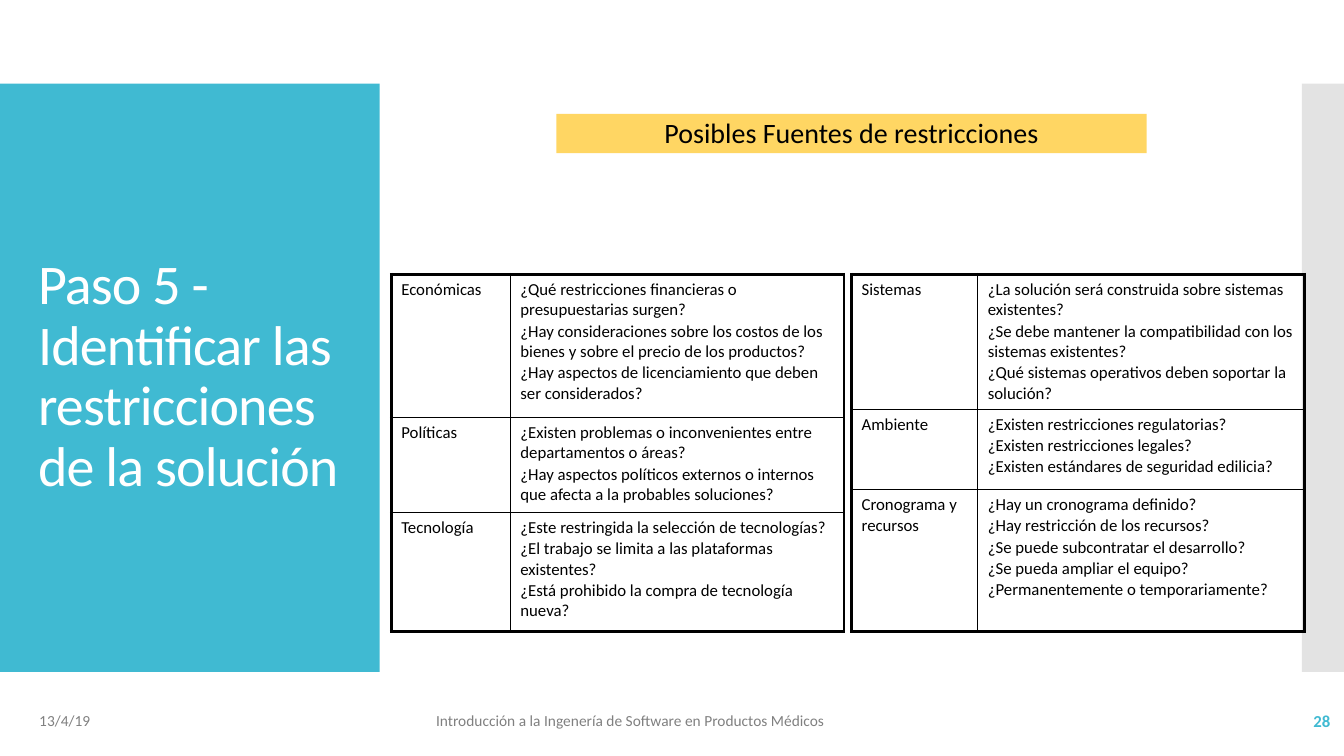
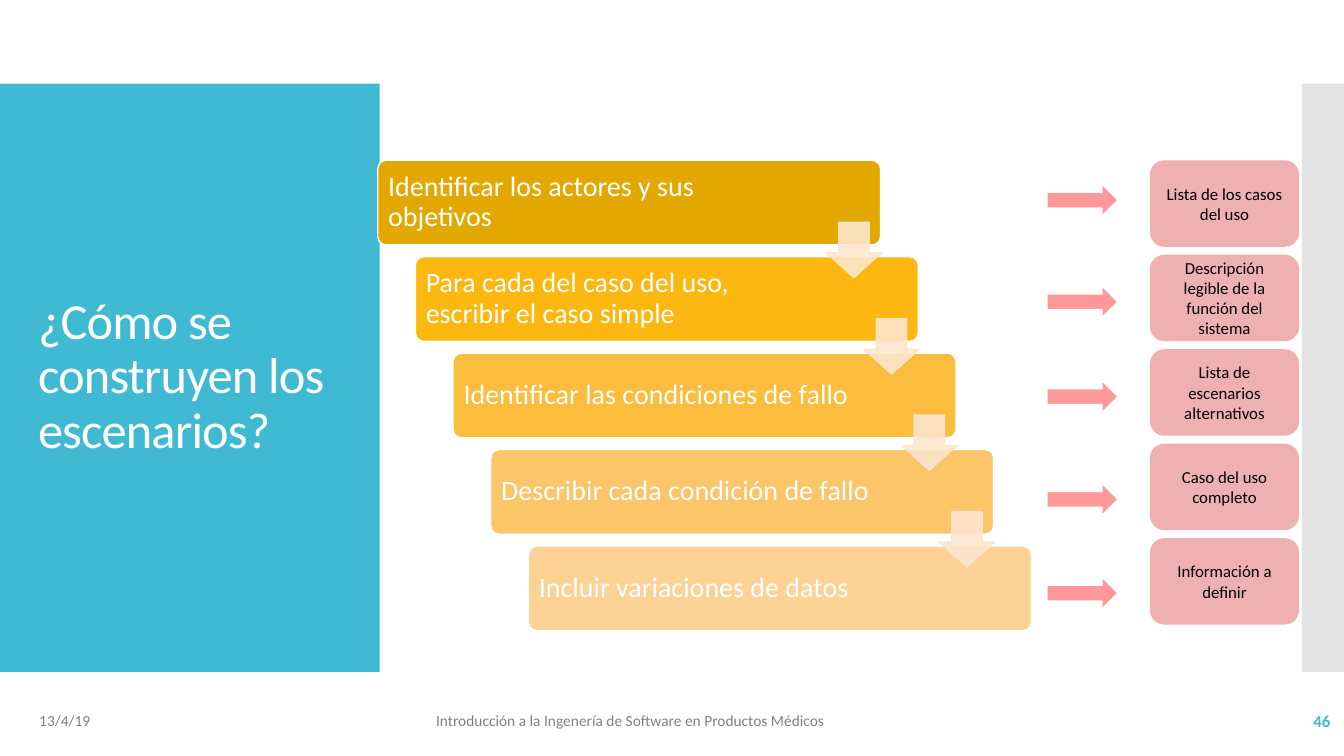
from lxml.etree import SubElement
from pptx import Presentation
from pptx.dml.color import RGBColor
from pptx.enum.shapes import MSO_SHAPE
from pptx.enum.text import MSO_ANCHOR, PP_ALIGN
from pptx.oxml.ns import qn
from pptx.util import Cm, Pt

FONT = "Calibri"
COLORS = {
    "teal": "40BAD2", "side": "C8C8C8", "white": "FFFFFF", "black": "000000",
    "footer": "808080", "heading": "FFD663", "result": "EEB0B1",
    "arrow": "FF9999", "down": "FDE6CC",
}
DATE = "13/4/19"
COURSE = "Introducción a la Ingenería de Software en Productos Médicos"

RESTRICTIONS = {
    "title": "Paso 5 - Identificar las restricciones de la solución",
    "size": 40,
    "number": "28",
    "heading": "Posibles Fuentes de restricciones",
}
TABLES = [
    {
        "left": 9.86, "cols": [3, 8.41], "rows": [3.61, 2.39, 3],
        "cells": [
            ("Económicas", [
                "¿Qué restricciones financieras o presupuestarias surgen?",
                "¿Hay consideraciones sobre los costos de los bienes y sobre el precio de los productos?",
                "¿Hay aspectos de licenciamiento que deben ser considerados?"]),
            ("Políticas", [
                "¿Existen problemas o inconvenientes entre departamentos o áreas?",
                "¿Hay aspectos políticos externos o internos que afecta a la probables soluciones?"]),
            ("Tecnología", [
                "¿Este restringida la selección de tecnologías?",
                "¿El trabajo se limita a las plataformas existentes?",
                "¿Está prohibido la compra de tecnología nueva?"]),
        ],
    },
    {
        "left": 21.46, "cols": [3.18, 8.23], "rows": [3.4, 2.03, 3.58],
        "cells": [
            ("Sistemas", [
                "¿La solución será construida sobre sistemas existentes?",
                "¿Se debe mantener la compatibilidad con los sistemas existentes?",
                "¿Qué sistemas operativos deben soportar la solución?"]),
            ("Ambiente", [
                "¿Existen restricciones regulatorias?",
                "¿Existen restricciones legales?",
                "¿Existen estándares de seguridad edilicia?"]),
            ("Cronograma y recursos", [
                "¿Hay un cronograma definido?",
                "¿Hay restricción de los recursos?",
                "¿Se puede subcontratar el desarrollo?",
                "¿Se pueda ampliar el equipo? ¿Permanentemente o temporariamente?"]),
        ],
    },
]

SCENARIOS = {
    "title": "¿Cómo se construyen los escenarios?",
    "size": 36,
    "number": "46",
}
STEPS = [
    ("Identificar los actores y sus objetivos", "E3A800", "Lista de los casos del uso", 4.65),
    ("Para cada del caso del uso, escribir el caso simple", "FDB711",
     "Descripción legible de la función del sistema", 7.21),
    ("Identificar las condiciones de fallo", "FCBC3E", "Lista de escenarios alternativos", 9.6),
    ("Describir cada condición de fallo", "FBC56A", "Caso del uso completo", 12.19),
    ("Incluir variaciones de datos", "FCD295", "Información a definir", 14.55),
]


def rgb(color):
    return RGBColor.from_string(COLORS.get(color, color))


def set_alpha(fill, percent):
    SubElement(fill.find(".//" + qn("a:srgbClr")), qn("a:alpha"), val=str(percent * 1000))


def write(tf, texts, size, color="black", align=PP_ALIGN.LEFT, bold=False, spacing=None, gap=0):
    tf.word_wrap = True
    for i, text in enumerate(texts):
        p = tf.paragraphs[0] if i == 0 else tf.add_paragraph()
        p.text = text
        p.alignment = align
        if spacing:
            p.line_spacing = spacing
        if i and gap:
            p.space_before = Pt(gap)
        p.font.name = FONT
        p.font.size = Pt(size)
        p.font.bold = bold
        p.font.color.rgb = rgb(color)


def add_text(s, box, text, size, color, **style):
    tf = s.shapes.add_textbox(*map(Cm, box)).text_frame
    tf.vertical_anchor = MSO_ANCHOR.MIDDLE
    write(tf, [text], size, color, **style)
    return tf


def add_shape(s, kind, box, fill, line=None, adj=(), alpha=None):
    sp = s.shapes.add_shape(kind, *map(Cm, box))
    sp.shadow.inherit = False
    for i, value in enumerate(adj):
        sp.adjustments[i] = value
    sp.fill.solid()
    sp.fill.fore_color.rgb = rgb(fill)
    if line:
        sp.line.color.rgb = rgb(line)
        sp.line.width = Pt(0.85)
    else:
        sp.line.fill.background()
    if alpha:
        spPr = sp._element.spPr
        set_alpha(spPr.find(qn("a:solidFill")), alpha)
        if line:
            set_alpha(spPr.find(qn("a:ln")), alpha)
    return sp


def add_slide(prs, content):
    s = prs.slides.add_slide(prs.slide_layouts[6])
    add_shape(s, MSO_SHAPE.RECTANGLE, (0, 2.11, 9.57, 14.82), "teal")
    add_shape(s, MSO_SHAPE.RECTANGLE, (32.81, 2.11, 1.06, 14.82), "side", alpha=50)
    add_text(s, (0.74, 17.65, 7.62, 1.02), DATE, 11, "footer")
    add_text(s, (10.74, 17.65, 16.41, 1.02), COURSE, 11, "footer")
    add_text(s, (29.54, 17.65, 4.24, 1.02), content["number"], 12, "teal",
             align=PP_ALIGN.RIGHT, bold=True)
    tf = add_text(s, (0.71, 3.12, 8.18, 12.78), content["title"], content["size"], "white",
                  spacing=0.9)
    tf.paragraphs[0].runs[0]._r.get_or_add_rPr().set("spc", "-60")
    return s


def set_borders(cell, outer):
    tcPr = cell._tc.get_or_add_tcPr()
    for side in "LRTB":
        width = Pt(2.25 if side in outer else 1)
        ln = SubElement(tcPr, qn("a:ln" + side), w=str(width))
        fill = SubElement(ln, qn("a:solidFill"))
        SubElement(fill, qn("a:srgbClr"), val=COLORS["black"])


def add_restriction_table(s, data):
    cols, rows = data["cols"], data["rows"]
    table = s.shapes.add_table(len(rows), len(cols), Cm(data["left"]), Cm(6.91),
                               Cm(sum(cols)), Cm(sum(rows))).table
    table.first_row = table.horz_banding = False
    for col, width in zip(table.columns, cols):
        col.width = Cm(width)
    for i, (row, height, (kind, questions)) in enumerate(zip(table.rows, rows, data["cells"])):
        row.height = Cm(height)
        edges = ("T" if i == 0 else "") + ("B" if i == len(rows) - 1 else "")
        for cell, texts, side in zip(row.cells, ([kind], questions), "LR"):
            set_borders(cell, edges + side)
            cell.fill.background()
            write(cell.text_frame, texts, 12, gap=0.6)


def build_restrictions(prs):
    s = add_slide(prs, RESTRICTIONS)
    sp = add_shape(s, MSO_SHAPE.RECTANGLE, (14.02, 2.87, 14.88, 0.99), "heading")
    sp.text_frame.vertical_anchor = MSO_ANCHOR.TOP
    write(sp.text_frame, [RESTRICTIONS["heading"]], 20, align=PP_ALIGN.CENTER, spacing=0.9)
    for data in TABLES:
        add_restriction_table(s, data)


def build_scenarios(prs):
    s = add_slide(prs, SCENARIOS)
    left, top, dx, dy = 9.52, 4.04, 0.95, 2.43
    for i, (step, color, result, arrow_top) in enumerate(STEPS):
        sp = add_shape(s, MSO_SHAPE.ROUNDED_RECTANGLE,
                       (left + i * dx, top + i * dy, 12.67, 2.13), color, "white", [0.1])
        tf = sp.text_frame
        tf.margin_left = tf.margin_top = tf.margin_bottom = Cm(0.2)
        tf.margin_right = Cm(2.6)
        tf.vertical_anchor = MSO_ANCHOR.MIDDLE
        write(tf, [step], 20, "white", spacing=0.9)

        add_shape(s, MSO_SHAPE.RIGHT_ARROW, (26.39, arrow_top, 1.78, 0.79), "arrow", "white")

        sp = add_shape(s, MSO_SHAPE.ROUNDED_RECTANGLE,
                       (28.98, top + i * 2.38, 3.76, 2.18), "result", adj=[0.167])
        sp.text_frame.vertical_anchor = MSO_ANCHOR.MIDDLE
        write(sp.text_frame, [result], 12, align=PP_ALIGN.CENTER)

    for i in range(len(STEPS) - 1):
        add_shape(s, MSO_SHAPE.DOWN_ARROW,
                  (left + 11.3 + i * dx, top + 1.56 + i * dy, 1.4, 1.4),
                  "down", "down", [0.55, 0.45], 90)


def main():
    prs = Presentation()
    prs.slide_width = Cm(33.87)
    prs.slide_height = Cm(19.05)
    build_restrictions(prs)
    build_scenarios(prs)
    prs.save("out.pptx")


if __name__ == "__main__":
    main()
